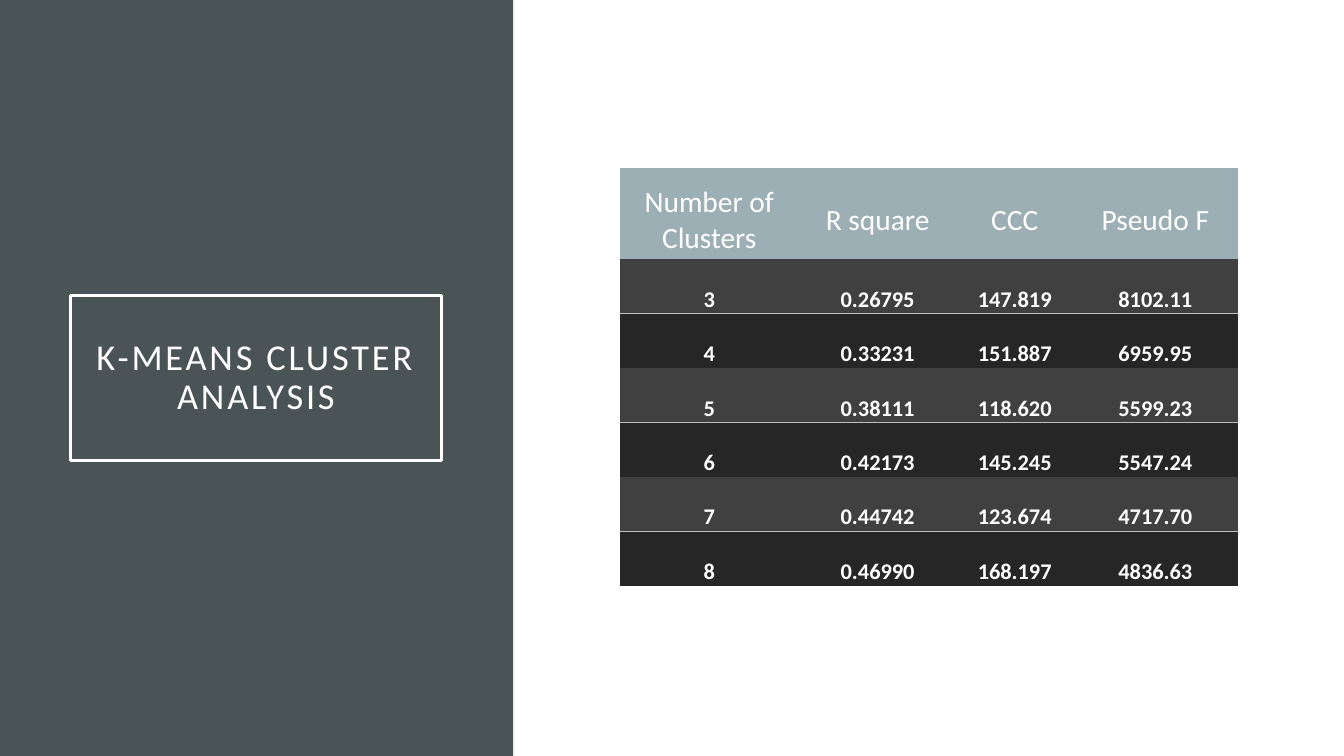
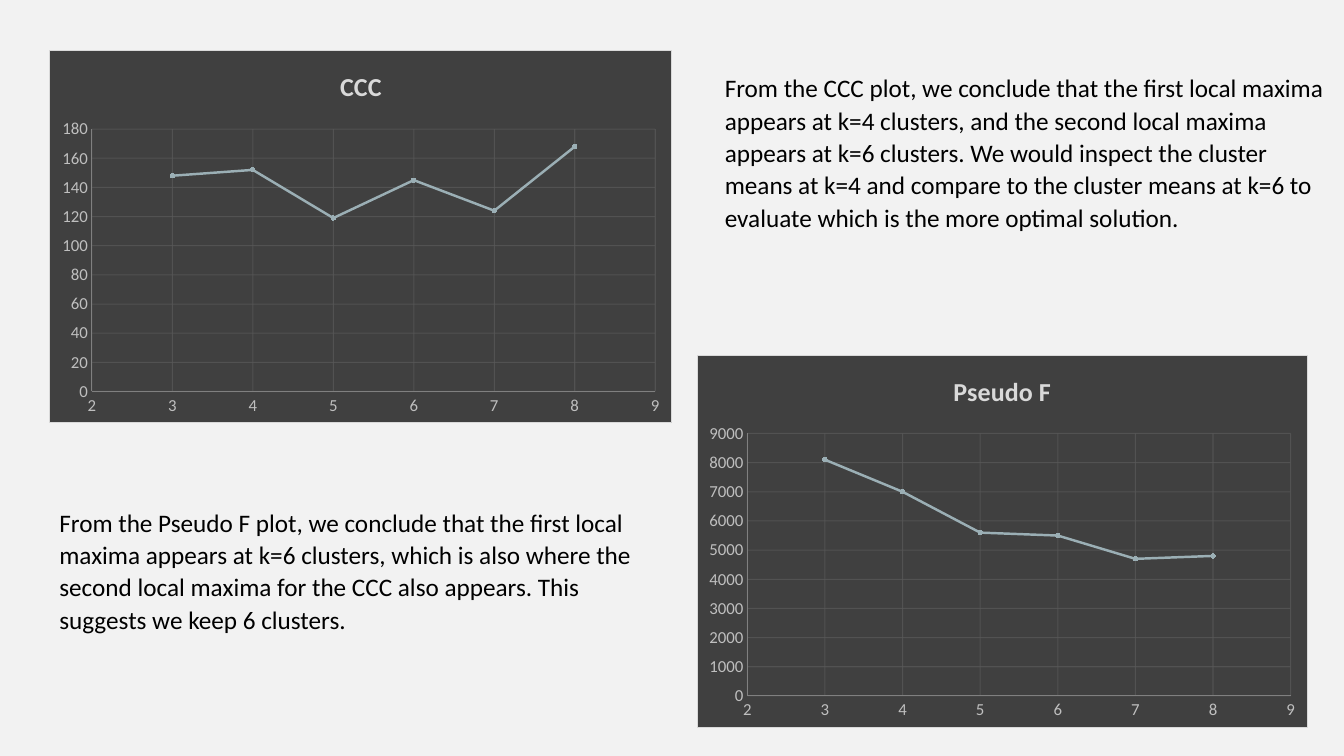
import lxml.etree
import pptx
import pptx.chart.data
import pptx.dml.color
import pptx.enum.chart
import pptx.enum.shapes
import pptx.enum.text
import pptx.oxml
import pptx.oxml.ns
import pptx.util

Inches = pptx.util.Inches
Pt = pptx.util.Pt
qn = pptx.oxml.ns.qn

HEADERS = ["Number of Clusters", "R square", "CCC", "Pseudo F"]
RESULTS = [
    ["3", "0.26795", "147.819", "8102.11"],
    ["4", "0.33231", "151.887", "6959.95"],
    ["5", "0.38111", "118.620", "5599.23"],
    ["6", "0.42173", "145.245", "5547.24"],
    ["7", "0.44742", "123.674", "4717.70"],
    ["8", "0.46990", "168.197", "4836.63"],
]
CLUSTERS = range(3, 9)
CCC = [148, 152, 119, 145, 124, 168]
PSEUDO_F = [8100, 7000, 5600, 5500, 4700, 4800]


def color(value):
    return pptx.dml.color.RGBColor.from_string(value)


class Deck:
    FONT = "Calibri"
    WHITE, BLACK, PALE = "FFFFFF", "000000", "F2F2F2"
    SLATE, ACCENT, MARKER = "4A5356", "9BAFB5", "C3CFD3"
    DARK, DARKER = "404040", "262626"
    RULE, AXIS, GRID, TITLE = "BFBFBF", "808080", "595959", "D9D9D9"

    def __init__(self):
        self.deck = pptx.Presentation()
        self.deck.slide_width = Inches(13.33)
        self.deck.slide_height = Inches(7.5)
        self.page = None

    def add_page(self, background):
        self.page = self.deck.slides.add_slide(self.deck.slide_layouts[6])
        fill = self.page.background.fill
        fill.solid()
        fill.fore_color.rgb = color(background)

    def style_font(self, font, size, text_color, bold=False):
        font.name = self.FONT
        font.size = Pt(size)
        font.bold = bold
        font.color.rgb = color(text_color)

    def style_line(self, line, line_color, width):
        line.color.rgb = color(line_color)
        line.width = Pt(width)

    def rectangle(self, left, top, width, height, fill=None, line=None):
        box = self.page.shapes.add_shape(
            pptx.enum.shapes.MSO_SHAPE.RECTANGLE,
            Inches(left), Inches(top), Inches(width), Inches(height))
        box.shadow.inherit = False
        if fill:
            box.fill.solid()
            box.fill.fore_color.rgb = color(fill)
        else:
            box.fill.background()
        if line:
            self.style_line(box.line, line, 2.5)
        else:
            box.line.fill.background()
        return box

    def title(self, text, left, top, width, height):
        box = self.rectangle(left, top, width, height, line=self.WHITE)
        frame = box.text_frame
        frame.word_wrap = True
        frame.vertical_anchor = pptx.enum.text.MSO_ANCHOR.MIDDLE
        frame.margin_left = frame.margin_right = Inches(0.2)
        frame.margin_top = frame.margin_bottom = Inches(0.2)
        frame.text = text
        para = frame.paragraphs[0]
        para.alignment = pptx.enum.text.PP_ALIGN.CENTER
        para.line_spacing = 0.9
        span = para.runs[0]
        self.style_font(span.font, 26, self.WHITE)
        span.font._element.set("spc", "200")

    def comment(self, text, left, top, width, height):
        box = self.page.shapes.add_textbox(
            Inches(left), Inches(top), Inches(width), Inches(height))
        frame = box.text_frame
        frame.word_wrap = True
        frame.auto_size = pptx.enum.text.MSO_AUTO_SIZE.SHAPE_TO_FIT_TEXT
        frame.text = text
        para = frame.paragraphs[0]
        properties = para._p.get_or_add_pPr()
        properties.set("marL", str(Inches(0.5)))
        properties.set("indent", "0")
        para.line_spacing = 1.07
        self.style_font(para.runs[0].font, 18, self.BLACK)

    def cell_borders(self, cell, ruled_side):
        properties = cell._tc.get_or_add_tcPr()
        for position, side in enumerate(["lnL", "lnR", "lnT", "lnB"]):
            border = lxml.etree.Element(qn(f"a:{side}"))
            if side == ruled_side:
                border.set("w", str(Pt(1)))
                fill = lxml.etree.SubElement(border, qn("a:solidFill"))
                lxml.etree.SubElement(fill, qn("a:srgbClr"), val=self.RULE)
            else:
                lxml.etree.SubElement(border, qn("a:noFill"))
            properties.insert(position, border)

    def cell(self, cell, text, fill, size, ruled_side=None):
        is_header = ruled_side is None
        cell.fill.solid()
        cell.fill.fore_color.rgb = color(fill)
        self.cell_borders(cell, ruled_side)
        cell.margin_left = cell.margin_right = Inches(0.1)
        cell.margin_top, cell.margin_bottom = Inches(0.13), 0
        cell.text_frame.text = text
        para = cell.text_frame.paragraphs[0]
        para.alignment = pptx.enum.text.PP_ALIGN.CENTER
        if is_header:
            cell.vertical_anchor = pptx.enum.text.MSO_ANCHOR.MIDDLE
        else:
            para.line_spacing = 1.5
        self.style_font(para.runs[0].font, size, self.WHITE, not is_header)

    def table(self, headers, rows, left, top, widths, header_height, row_height):
        heights = [header_height] + [row_height] * len(rows)
        table = self.page.shapes.add_table(
            len(heights), len(widths), Inches(left), Inches(top),
            Inches(sum(widths)), Inches(sum(heights))).table
        for column, width in zip(table.columns, widths):
            column.width = Inches(width)
        for row, height in zip(table.rows, heights):
            row.height = Inches(height)
        for column, text in enumerate(headers):
            self.cell(table.cell(0, column), text, self.ACCENT, 21)
        # Body rows come in pairs with a rule between the two
        bands = [(self.DARK, "lnB"), (self.DARKER, "lnT")]
        for index, values in enumerate(rows):
            fill, ruled_side = bands[index % 2]
            for column, text in enumerate(values):
                self.cell(table.cell(index + 1, column), text, fill, 16, ruled_side)

    def chart_area(self, chart):
        area = pptx.oxml.parse_xml(
            f'<c:spPr xmlns:c="{pptx.oxml.ns.nsuri("c")}"'
            f' xmlns:a="{pptx.oxml.ns.nsuri("a")}">'
            f'<a:solidFill><a:srgbClr val="{self.DARK}"/></a:solidFill>'
            f'<a:ln w="{Pt(0.75)}"><a:solidFill><a:srgbClr val="{self.TITLE}"/>'
            '</a:solidFill></a:ln></c:spPr>')
        chart._chartSpace.find(qn("c:chart")).addnext(area)

    def axis(self, axis, low, high, step):
        axis.minimum_scale, axis.maximum_scale = low, high
        axis.major_unit = step
        axis.major_tick_mark = pptx.enum.chart.XL_TICK_MARK.NONE
        axis.minor_tick_mark = pptx.enum.chart.XL_TICK_MARK.NONE
        axis.tick_labels.number_format = "General"
        axis.tick_labels.number_format_is_linked = False
        self.style_font(axis.tick_labels.font, 12, self.RULE)
        self.style_line(axis.format.line, self.AXIS, 0.75)
        axis.has_major_gridlines = True
        grid = axis.major_gridlines
        self.style_line(grid.format.line, self.GRID, 0.75)
        for shade in grid._xAx.find(qn("c:majorGridlines")).iter(qn("a:srgbClr")):
            lxml.etree.SubElement(shade, qn("a:alpha"), val="75000")

    def scatter(self, name, values, left, top, width, height, high, step):
        data = pptx.chart.data.XyChartData()
        points = data.add_series(name)
        for clusters, value in zip(CLUSTERS, values):
            points.add_data_point(clusters, value)
        chart = self.page.shapes.add_chart(
            pptx.enum.chart.XL_CHART_TYPE.XY_SCATTER_LINES,
            Inches(left), Inches(top), Inches(width), Inches(height), data).chart
        self.style_font(chart.font, 10, self.BLACK)
        self.chart_area(chart)
        chart.has_legend = False
        chart.has_title = True
        chart.chart_title.include_in_layout = False
        frame = chart.chart_title.text_frame
        frame.text = name
        self.style_font(frame.paragraphs[0].runs[0].font, 18.6, self.TITLE, True)
        self.axis(chart.category_axis, 2, 9, 1)
        self.axis(chart.value_axis, 0, high, step)
        # Line and markers
        plot = chart.plots[0]
        plot.vary_by_categories = False
        series = plot.series[0]
        self.style_line(series.format.line, self.ACCENT, 1.75)
        marker = series.marker
        marker.style = pptx.enum.chart.XL_MARKER_STYLE.CIRCLE
        marker.size = 3
        marker.format.fill.solid()
        marker.format.fill.fore_color.rgb = color(self.MARKER)
        self.style_line(marker.format.line, self.ACCENT, 0.75)


def main():
    show = Deck()

    # Cluster statistics
    show.add_page(show.WHITE)
    show.rectangle(0, 0, 5.09, 7.5, fill=show.SLATE)
    show.title("K-MEANS CLUSTER ANALYSIS", 0.7, 2.93, 3.68, 1.64)
    show.table(HEADERS, RESULTS, 6.15, 1.67, [1.77, 1.57, 1.15, 1.64], 0.9, 0.54)

    # Plots and conclusions
    show.add_page(show.PALE)
    show.scatter("CCC", CCC, 0.49, 0.5, 6.18, 3.7, 180, 20)
    show.scatter("Pseudo F", PSEUDO_F, 6.91, 3.52, 6.06, 3.7, 9000, 1000)
    show.comment(
        "From the CCC plot, we conclude that the first local maxima appears at "
        "k=4 clusters, and the second local maxima appears at k=6 clusters. We "
        "would inspect the cluster means at k=4 and compare to the cluster means "
        "at k=6 to evaluate which is the more optimal solution.",
        6.59, 0.65, 6.68, 1.7)
    show.comment(
        "From the Pseudo F plot, we conclude that the first local maxima appears "
        "at k=6 clusters, which is also where the second local maxima for the CCC "
        "also appears. This suggests we keep 6 clusters.",
        -0.01, 4.96, 6.68, 1.38)

    show.deck.save("out.pptx")


if __name__ == "__main__":
    main()
